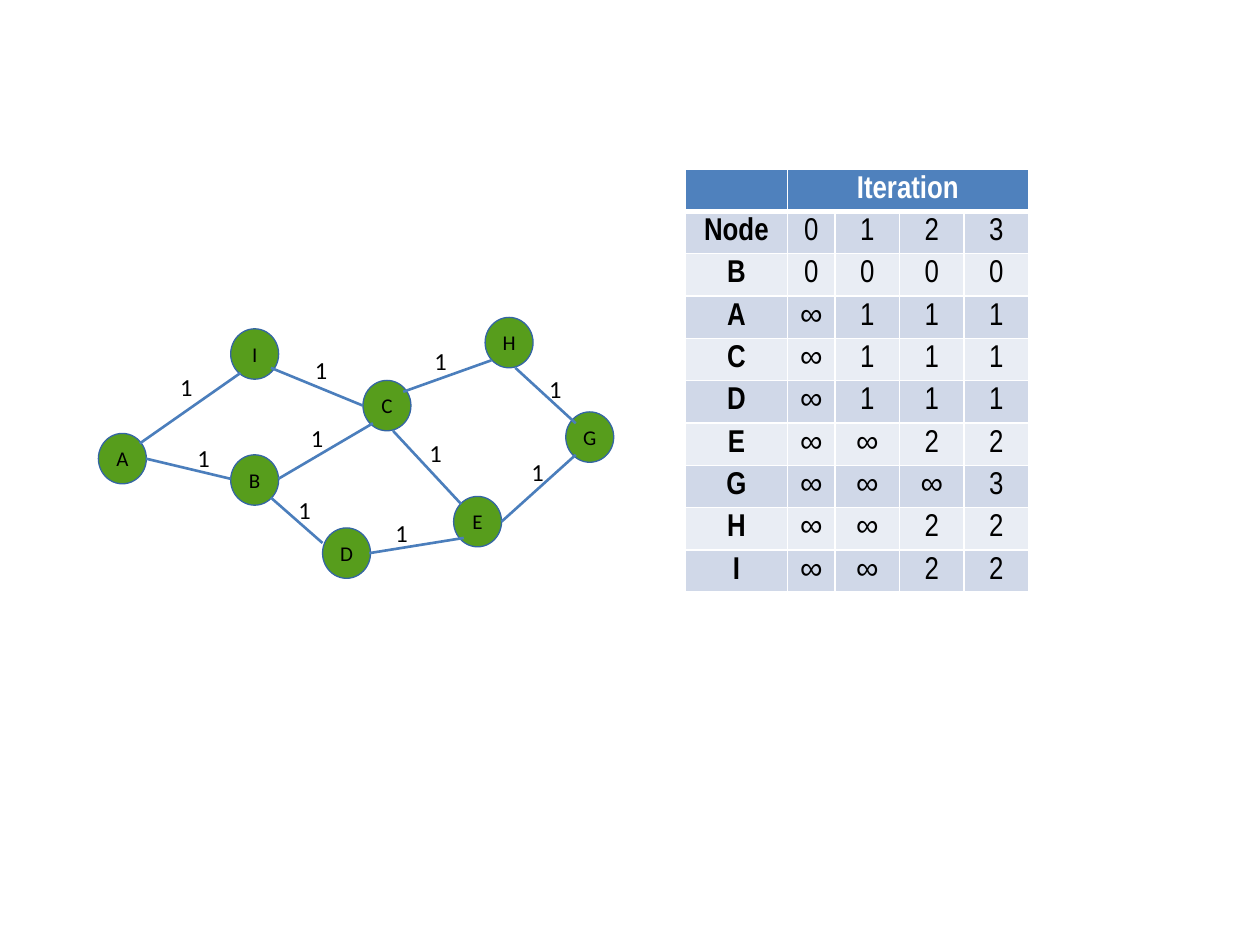
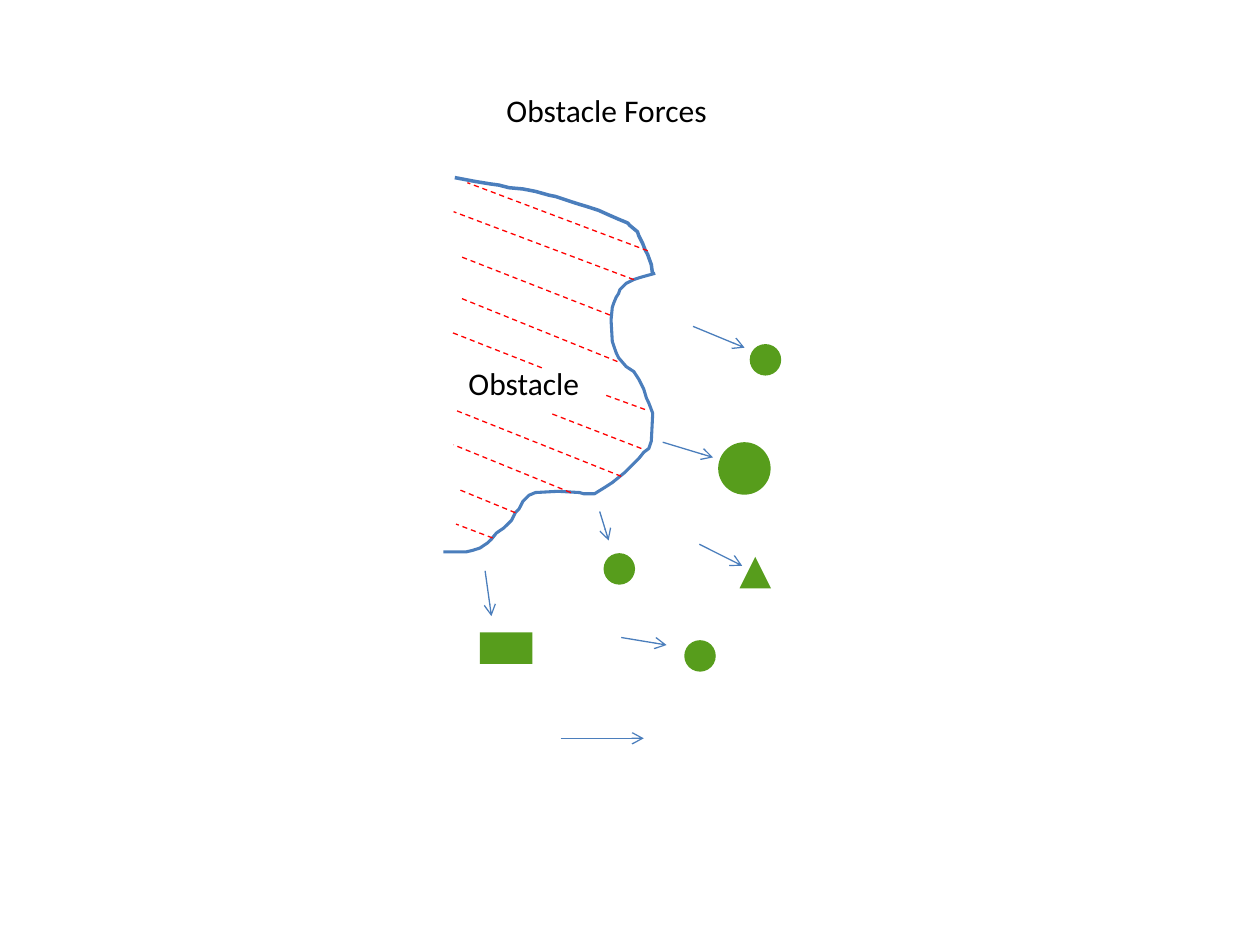
from lxml.etree import SubElement
from pptx import Presentation
from pptx.dml.color import RGBColor
from pptx.enum.dml import MSO_LINE
from pptx.enum.shapes import MSO_CONNECTOR, MSO_SHAPE as Preset
from pptx.enum.text import MSO_ANCHOR as Anchor, MSO_AUTO_SIZE as AutoSize, PP_ALIGN as Align
from pptx.oxml.ns import qn
from pptx.util import Pt

GREEN, BLUE, RED = "579D1C", "4B7EBC", "FF0000"
BLACK, WHITE = "000000", "FFFFFF"
BODY_FONT, TABLE_FONT = "Calibri", "Arial Narrow"


def rgb(hex_color):
    return RGBColor.from_string(hex_color)


def draw_line(page, ends, color, width):
    line = page.shapes.add_connector(MSO_CONNECTOR.STRAIGHT, *[Pt(value) for value in ends])
    line.line.color.rgb = rgb(color)
    line.line.width = Pt(width)
    SubElement(line._element.spPr, qn("a:effectLst"))
    return line


deck = Presentation()
deck.slide_width, deck.slide_height = Pt(720), Pt(540)

# Slide 1: distance table
page = deck.slides.add_slide(deck.slide_layouts[6])
rows = [
    ["", "Iteration", "", "", ""],
    ["Node", "0", "1", "2", "3"],
    ["B", "0", "0", "0", "0"],
    ["A", "∞", "1", "1", "1"],
    ["C", "∞", "1", "1", "1"],
    ["D", "∞", "1", "1", "1"],
    ["E", "∞", "∞", "2", "2"],
    ["G", "∞", "∞", "∞", "3"],
    ["H", "∞", "∞", "2", "2"],
    ["I", "∞", "∞", "2", "2"],
]
widths = [58.2, 27.4, 36.8, 36.8, 36.8]
row_height = 24.2
table = page.shapes.add_table(len(rows), len(widths), Pt(391.7), Pt(96.6),
                              Pt(sum(widths)), Pt(row_height * len(rows))).table
for column, width in zip(table.columns, widths):
    column.width = Pt(width)
for r, row in enumerate(rows):
    table.rows[r].height = Pt(row_height)
    for c, value in enumerate(row):
        cell = table.cell(r, c)
        cell.margin_left = cell.margin_right = cell.margin_bottom = 0
        cell.margin_top = Pt(3.6)
        # Borders come before the fill in the cell properties
        for side in ("L", "R", "T", "B"):
            heavy = (r == 0 and side == "B") or (r == 1 and side == "T")
            border = SubElement(cell._tc.get_or_add_tcPr(), qn(f"a:ln{side}"),
                                w=str(Pt(3 if heavy else 1)))
            SubElement(SubElement(border, qn("a:solidFill")), qn("a:srgbClr"), val=WHITE)
        cell.fill.solid()
        cell.fill.fore_color.rgb = rgb("4F81BD" if r == 0 else "D0D8E8" if r % 2 else "E9EDF4")
        para = cell.text_frame.paragraphs[0]
        para.text = value
        para.alignment = Align.CENTER
        para.font.name = TABLE_FONT
        para.font.size = Pt(18)
        para.font.bold = r == 0 or c == 0
        para.font.color.rgb = rgb(WHITE if r == 0 else BLACK)
table.cell(0, 1).merge(table.cell(0, 4))

# Graph nodes
nodes = {
    "A": (56.2, 247.7), "B": (131.8, 259.9), "D": (184.3, 301.7), "E": (259.2, 283.7),
    "G": (323.3, 235.4), "H": (277.2, 181.4), "C": (207.4, 217.4), "I": (131.8, 187.9),
}
for name, (left, top) in nodes.items():
    node = page.shapes.add_shape(Preset.OVAL, Pt(left), Pt(top), Pt(27.4), Pt(28.8))
    node.shadow.inherit = False
    node.fill.solid()
    node.fill.fore_color.rgb = rgb(GREEN)
    node.line.color.rgb = rgb("3465A4")
    node.line.width = Pt(0.75)
    frame = node.text_frame
    frame.margin_left = frame.margin_right = frame.margin_top = frame.margin_bottom = 0
    frame.word_wrap = False
    frame.vertical_anchor = Anchor.MIDDLE
    para = frame.paragraphs[0]
    para.text = name
    para.alignment = Align.CENTER
    para.font.name = BODY_FONT
    para.font.size = Pt(12)
    para.font.color.rgb = rgb(BLACK)

# Graph edges, each with the place of its weight
edges = [
    ((79.9, 253.4, 137.5, 213.1), (95.8, 208.8)),
    ((83.5, 262.1, 131.8, 273.6), (105.8, 249.8)),
    ((159.1, 273.6, 213.1, 241.9), (170.6, 238.3)),
    ((154.8, 210.2, 207.4, 231.8), (172.8, 199.4)),
    ((230.4, 223.9, 280.8, 205.9), (241.2, 194.4)),
    ((286.6, 298.1, 329, 259.9), (296.6, 257.8)),
    ((211, 316.1, 265, 307.4), (218.9, 292.3)),
    ((154.8, 284.4, 184.3, 310.3), (163.4, 279.4)),
    ((224.6, 246.2, 263.5, 288), (238.3, 247)),
    ((294.5, 210.2, 329, 241.9), (306.7, 210.2)),
]
for ends, (left, top) in edges:
    draw_line(page, ends, BLUE, 1.5)
    box = page.shapes.add_textbox(Pt(left), Pt(top), Pt(21.6), Pt(24.5))
    box.text_frame.word_wrap = False
    para = box.text_frame.paragraphs[0]
    para.text = "1"
    para.font.name = BODY_FONT
    para.font.size = Pt(14)
    para.font.color.rgb = rgb(BLACK)

# Slide 2: title and obstacle label
page = deck.slides.add_slide(deck.slide_layouts[5])
title = page.shapes.title
title.left, title.top, title.width, title.height = Pt(282.2), Pt(48.2), Pt(130.3), Pt(51.1)
label = page.shapes.add_textbox(Pt(260.6), Pt(204.5), Pt(78.5), Pt(28.8))
for box, text in ((title, "Obstacle Forces"), (label, "Obstacle")):
    frame = box.text_frame
    frame.word_wrap = False
    frame.auto_size = AutoSize.NONE
    frame.vertical_anchor = Anchor.TOP
    para = frame.paragraphs[0]
    para.text = text
    para.alignment = Align.LEFT
    para.font.name = BODY_FONT
    para.font.size = Pt(18)
    para.font.color.rgb = rgb(BLACK)

# Bodies pushed by the obstacle
bodies = [
    (Preset.OVAL, 344.9, 316.1, 18, 18),
    (Preset.OVAL, 410.4, 252.7, 30, 30),
    (Preset.OVAL, 428.4, 196.6, 18, 18),
    (Preset.OVAL, 391, 365.8, 18, 18),
    (Preset.ISOSCELES_TRIANGLE, 422.6, 318.2, 18, 18),
    (Preset.RECTANGLE, 274.3, 361.4, 30, 18),
]
for preset, *place in bodies:
    body = page.shapes.add_shape(preset, *[Pt(value) for value in place])
    body.shadow.inherit = False
    body.fill.solid()
    body.fill.fore_color.rgb = rgb(GREEN)
    body.line.fill.background()

# Force arrows
forces = [
    (396, 186.5, 425.5, 198.7), (378.7, 252.7, 407.5, 261.4), (399.6, 311, 424.1, 323.3),
    (355, 364.3, 380.9, 368.6), (320.4, 421.9, 367.9, 421.9), (342.7, 292.3, 347.8, 308.9),
    (277.2, 326.2, 280.8, 352.1),
]
for ends in forces:
    arrow = draw_line(page, ends, BLUE, 0.75)
    SubElement(arrow.line._get_or_add_ln(), qn("a:tailEnd"), type="arrow")

# Obstacle outline
lower_edge = [
    (374.4, 156.2), (366.5, 158.4), (362.2, 159.8), (357.8, 162), (354.2, 165.6),
    (353.5, 167.8), (352.1, 169.9), (350.6, 173.5), (349.9, 175.7), (349.2, 182.9),
    (349.9, 195.1), (350.6, 197.3), (352.1, 201.6), (353.5, 204.5), (357.8, 209.5),
    (362.2, 212.4), (365, 216.7), (367.9, 222.5), (369.4, 227.5), (370.8, 230.4),
    (373, 236.2), (372.2, 252), (370.8, 256.3), (367.9, 258.5), (365, 262.1),
    (361.4, 265.7), (357.1, 270), (353.5, 272.9), (349.9, 275.8), (345.6, 278.6),
    (342, 280.8), (339.8, 282.2), (333.4, 282.2), (331.2, 281.5), (319, 280.8),
    (306, 281.5), (302.4, 283), (298.8, 286.6), (296.6, 290.9), (294.5, 293),
    (292.3, 297.4), (288, 301.7), (283.7, 304.6), (280.8, 308.2), (278.6, 310.3),
    (274.3, 313.2), (270, 314.6), (266.4, 315.4), (253.4, 315.4),
]
upper_edge = [
    (373, 157), (372.2, 151.2), (370.1, 145.4), (368.6, 142.6), (367.2, 139),
    (365, 134.6), (364.3, 132.5), (360, 128.9), (358.6, 127.4), (353.5, 125.3),
    (348.5, 123.1), (342, 120.2), (335.5, 118.1), (330.5, 116.6), (326.2, 115.2),
    (317.5, 112.3), (313.9, 111.6), (306, 109.4), (298.8, 108), (290.9, 107.3),
    (285.1, 105.8), (280.1, 105.1), (271.4, 103.7), (263.5, 102.2), (259.9, 101.5),
]
for points, width in ((lower_edge, 1.75), (upper_edge, 2)):
    start, *rest = [(Pt(x), Pt(y)) for x, y in points]
    builder = page.shapes.build_freeform(*start)
    builder.add_line_segments(rest, close=False)
    edge = builder.convert_to_shape()
    edge.shadow.inherit = False
    edge.fill.background()
    edge.line.color.rgb = rgb(BLUE)
    edge.line.width = Pt(width)

# Dashed hatching inside the obstacle
hatching = [
    (362.2, 159.8, 259.2, 121), (348.5, 180, 262.1, 146.2), (352.8, 206.6, 262.1, 169.9),
    (368.6, 234, 344.9, 225.4), (366.5, 256.3, 314.6, 236.2), (355, 272.2, 259.2, 234),
    (326.2, 281.5, 259.2, 254.2), (294.5, 293, 261.4, 279.4), (309.6, 210.2, 258.5, 190.1),
    (281.5, 307.4, 260.6, 299.5), (370.1, 143.3, 267.1, 104.4),
]
for ends in hatching:
    draw_line(page, ends, RED, 0.75).line.dash_style = MSO_LINE.DASH

deck.save("out.pptx")
